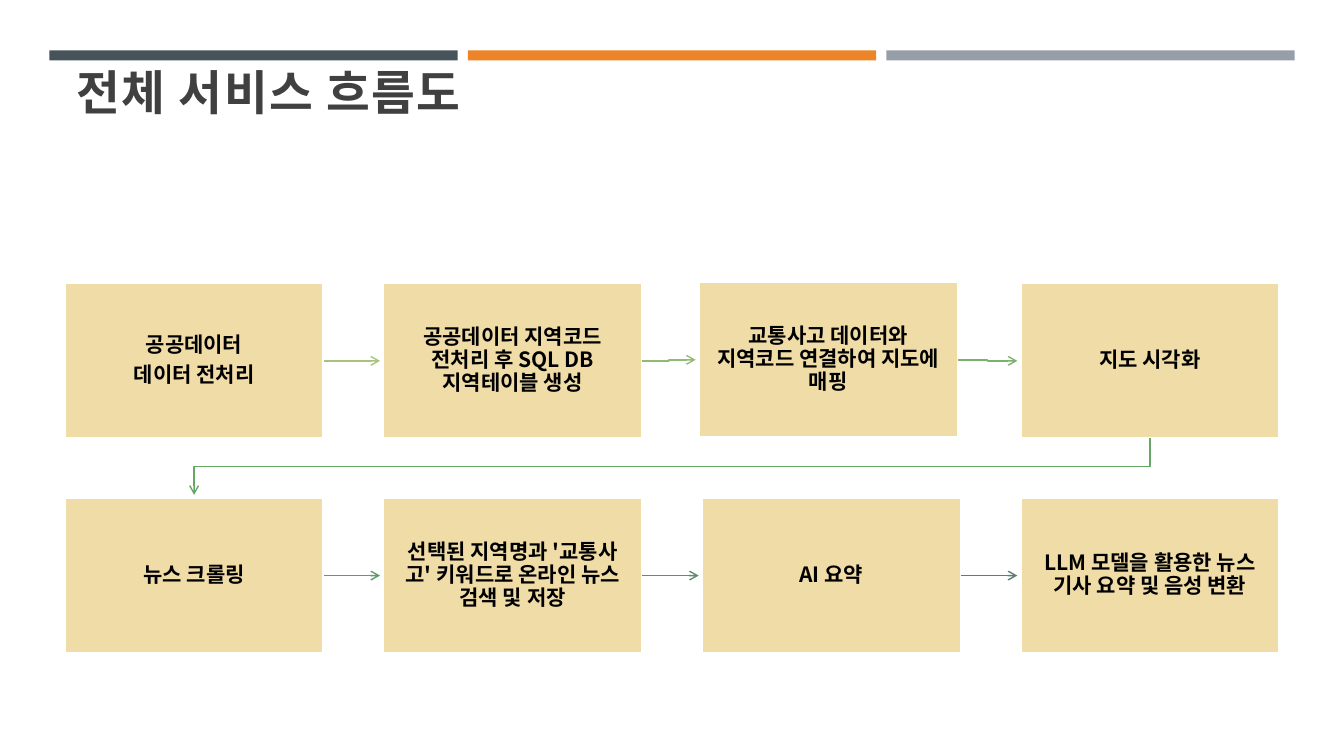
from lxml.etree import SubElement
from pptx import Presentation
from pptx.dml.color import RGBColor
from pptx.enum.shapes import MSO_CONNECTOR, MSO_SHAPE
from pptx.enum.text import MSO_ANCHOR, PP_ALIGN
from pptx.oxml.ns import qn
from pptx.util import Inches, Pt

FONT = "Noto Sans CJK KR"
SLATE = RGBColor(0x46, 0x53, 0x59)
ORANGE = RGBColor(0xED, 0x84, 0x28)
GREY = RGBColor(0x96, 0x9F, 0xA7)
SAND = RGBColor(0xF0, 0xDC, 0xA7)
DARK = RGBColor(0x40, 0x40, 0x40)
BLACK = RGBColor(0, 0, 0)
WHITE = RGBColor(255, 255, 255)

# Content: each step has its paragraphs and the colour of the arrow leaving it
TITLE = "전체 서비스 흐름도"
STEPS = [
    (["공공데이터", "데이터 전처리"], RGBColor(0xA9, 0xC3, 0x7C)),
    (["공공데이터 지역코드 전처리 후 SQL DB 지역테이블 생성"], RGBColor(0x92, 0xBA, 0x74)),
    (["교통사고 데이터와 지역코드 연결하여 지도에 매핑"], RGBColor(0x7B, 0xB1, 0x6C)),
    (["지도 시각화"], RGBColor(0x66, 0xA7, 0x65)),
    (["뉴스 크롤링"], RGBColor(0x60, 0x9C, 0x6B)),
    (["선택된 지역명과 '교통사고' 키워드로 온라인 뉴스 검색 및 저장"], RGBColor(0x5D, 0x8E, 0x70)),
    (["AI 요약"], RGBColor(0x5A, 0x80, 0x71)),
    (["LLM 모델을 활용한 뉴스 기사 요약 및 음성 변환"], None),
]
BARS = [SLATE, ORANGE, GREY]

# Grid
COLS, LEFT, TOP = 4, 0.64, 2.81
STEP_X, STEP_Y = 3.16, 2.13
WIDE, HIGH, GAP = 2.57, 1.54, 0.03
NUDGE = {2: (-0.03, -0.01)}  # the third box sits slightly off the grid
TITLE_FONT = {"size": Pt(34), "bold": True, "name": FONT}
STEP_FONT = {"size": Pt(15), "bold": True, "name": FONT}


def style(run, form, color):
    for key, value in form.items():
        setattr(run.font, key, value)
    run.font.color.rgb = color
    SubElement(run.font._element, qn("a:ea")).set("typeface", FONT)


def block(slide, x, y, w, h, fill):
    box = slide.shapes.add_shape(
        MSO_SHAPE.RECTANGLE, Inches(x), Inches(y), Inches(w), Inches(h))
    box.shadow.inherit = False
    box.fill.solid()
    box.fill.fore_color.rgb = fill
    box.line.fill.background()
    return box


def inset(frame, left, top, right, bottom):
    sides = {"left": left, "top": top, "right": right, "bottom": bottom}
    for side, size in sides.items():
        setattr(frame, "margin_" + side, Inches(size))


def place(num):
    row, col = divmod(num, COLS)
    dx, dy = NUDGE.get(num, (0, 0))
    return LEFT + col * STEP_X + dx, TOP + row * STEP_Y + dy


def arrow(slide, kind, x1, y1, x2, y2, color):
    line = slide.shapes.add_connector(
        kind, Inches(x1), Inches(y1), Inches(x2), Inches(y2))
    line.line.color.rgb = color
    line.line.width = Pt(1)
    SubElement(line.line._get_or_add_ln(), qn("a:tailEnd")).set("type", "arrow")
    SubElement(line._element.spPr, qn("a:effectLst"))
    return line


def turn(slide, x1, y1, x2, y2, color):
    """Down, across and down again: an elbow turned by 90 degrees."""
    mid_x, mid_y = (x1 + x2) / 2, (y1 + y2) / 2
    half_w, half_h = (y2 - y1) / 2, (x1 - x2) / 2
    line = arrow(slide, MSO_CONNECTOR.ELBOW, mid_x - half_w, mid_y - half_h,
                 mid_x + half_w, mid_y + half_h, color)
    line._element.spPr.find(qn("a:xfrm")).set("rot", "5400000")


def main():
    deck = Presentation()
    deck.slide_width, deck.slide_height = Inches(13.33), Inches(7.5)
    slide = deck.slides.add_slide(deck.slide_layouts[5])

    # Top bars
    for num, color in enumerate(BARS):
        block(slide, 0.49 + num * 4.15, 0.5, 4.05, 0.1, color)

    # Title
    title = slide.shapes.title
    title.left, title.top = Inches(0.64), Inches(0.67)
    title.width, title.height = Inches(12.06), Inches(1.3)
    frame = title.text_frame
    frame.vertical_anchor = MSO_ANCHOR.TOP
    inset(frame, 0.12, 0, 0.12, 0.1)
    para = frame.paragraphs[0]
    para.alignment, para.line_spacing = PP_ALIGN.LEFT, 0.95
    run = para.add_run()
    run.text = TITLE
    style(run, TITLE_FONT, DARK)
    run.font._element.set("spc", "100")

    # Steps
    for num, (texts, color) in enumerate(STEPS):
        x, y = place(num)
        box = block(slide, x, y, WIDE, HIGH, SAND)
        box.line.color.rgb = WHITE
        box.line.width = Pt(1.75)
        frame = box.text_frame
        frame.word_wrap = True
        frame.vertical_anchor = MSO_ANCHOR.MIDDLE
        inset(frame, 0.13, 0.13, 0.13, 0.13)
        for idx, text in enumerate(texts):
            para = frame.add_paragraph() if idx else frame.paragraphs[0]
            para.alignment = PP_ALIGN.CENTER
            para.line_spacing, para.space_after = 0.9, Pt(5)
            run = para.add_run()
            run.text = text
            style(run, STEP_FONT, BLACK)

    # Arrows to the next step
    for num, (texts, color) in enumerate(STEPS[:-1]):
        (x1, y1), (x2, y2) = place(num), place(num + 1)
        if num % COLS == COLS - 1:
            turn(slide, x1 + WIDE / 2, y1 + HIGH, x2 + WIDE / 2, y2 - GAP, color)
            continue
        level = num // COLS or not {num, num + 1} & set(NUDGE)
        kind = MSO_CONNECTOR.STRAIGHT if level else MSO_CONNECTOR.ELBOW
        arrow(slide, kind, x1 + WIDE, y1 + HIGH / 2, x2 - GAP, y2 + HIGH / 2, color)

    deck.save("out.pptx")


if __name__ == "__main__":
    main()
